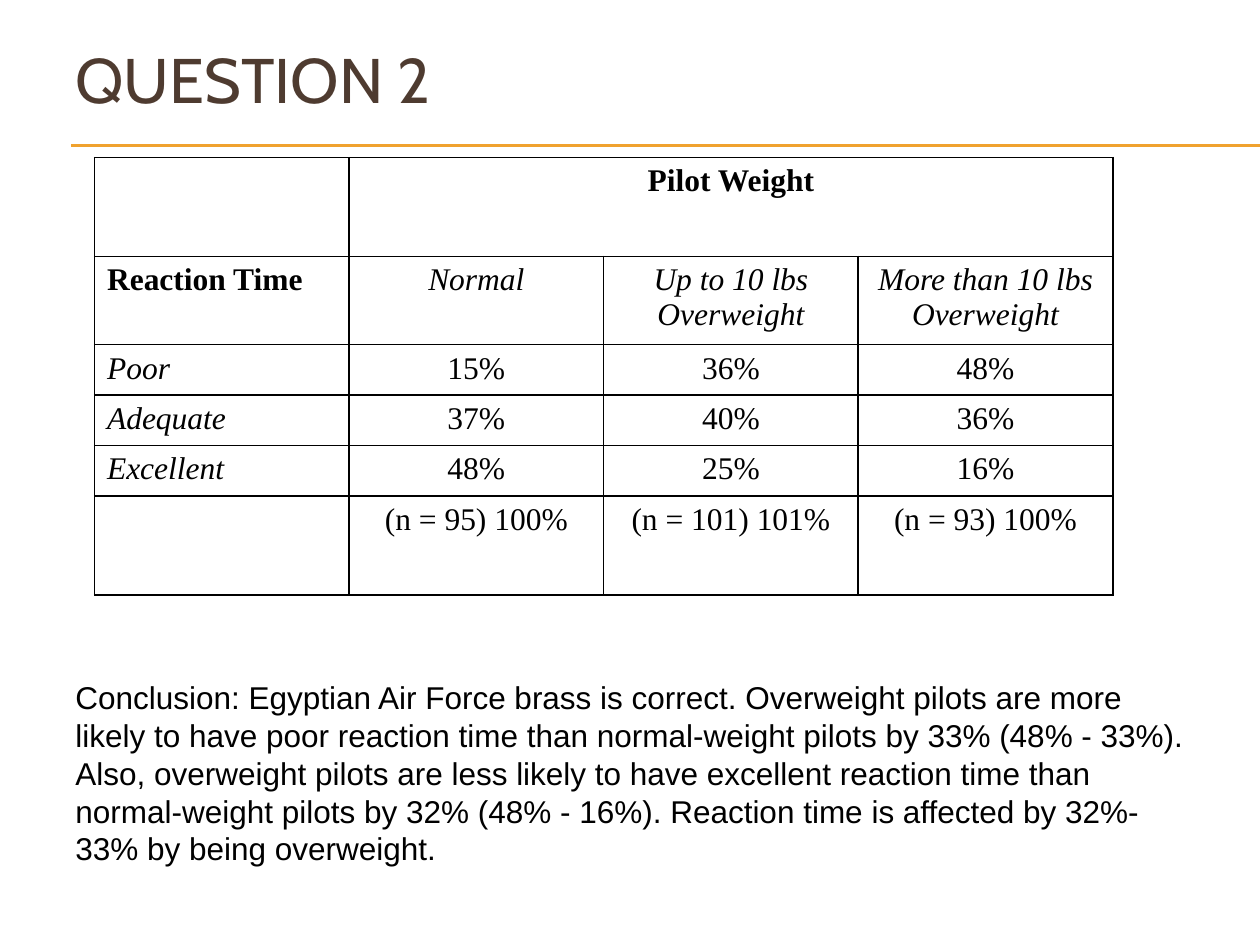
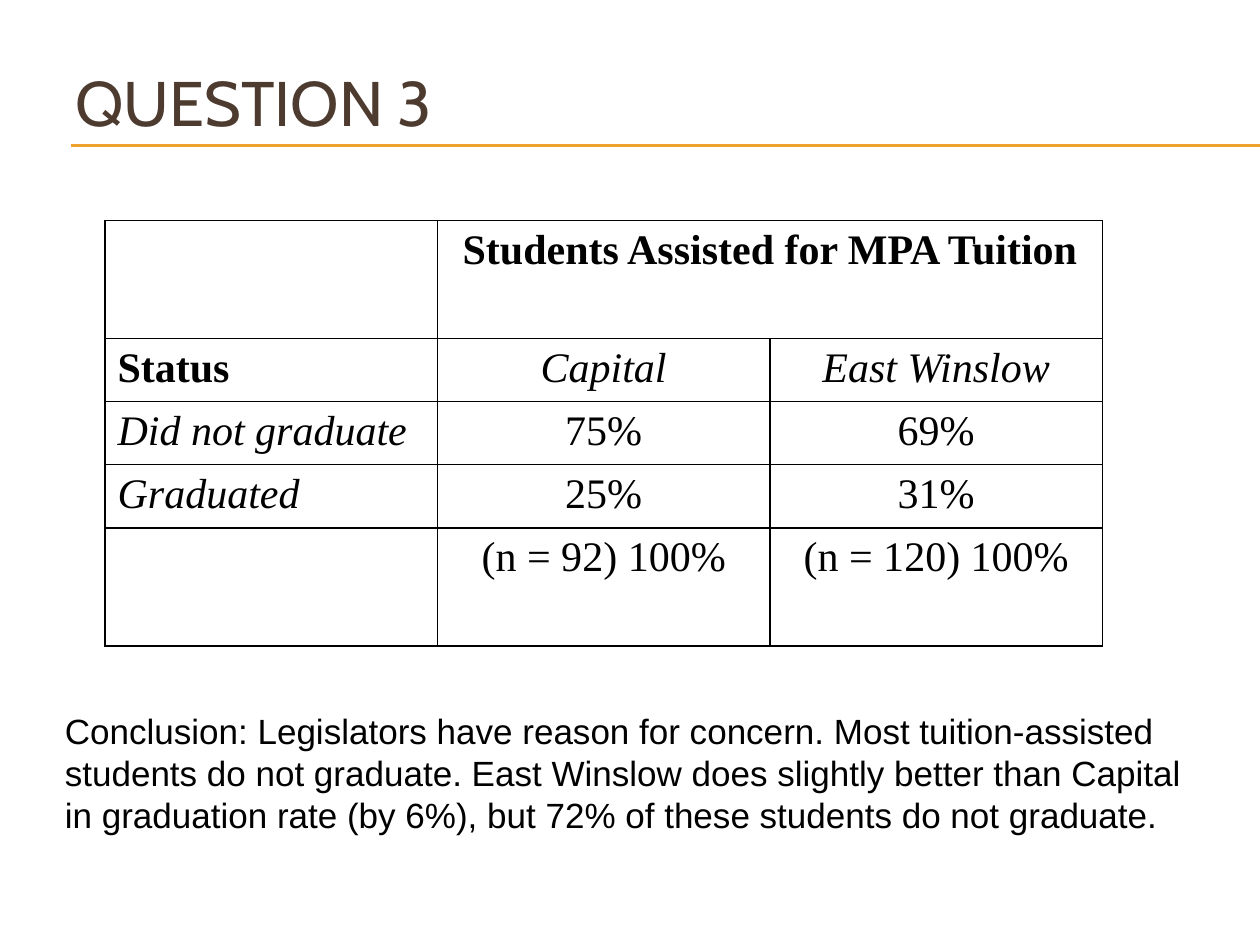
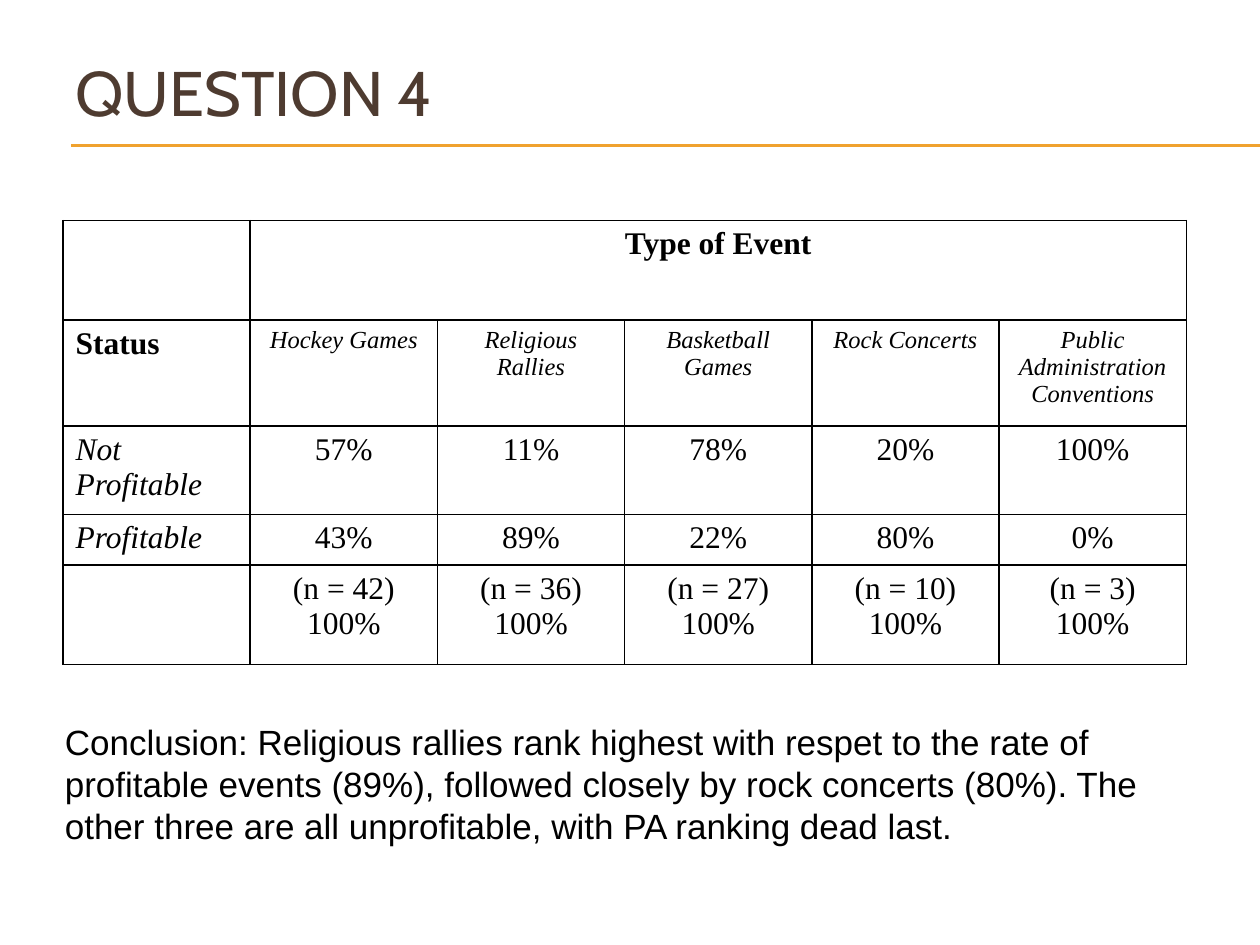
from dataclasses import dataclass

import pptx
import pptx.dml.color
import pptx.enum.shapes
import pptx.enum.text
import pptx.oxml
import pptx.oxml.ns
import pptx.slide
import pptx.table
import pptx.text.text
import pptx.util
from pptx.util import Pt

RGBColor = pptx.dml.color.RGBColor
BROWN = RGBColor(0x4E, 0x3B, 0x30)
GOLD = RGBColor(0xF0, 0xA2, 0x2E)
BLACK = RGBColor(0, 0, 0)

ALIGN = pptx.enum.text.PP_ALIGN
MIDDLE = pptx.enum.text.MSO_ANCHOR.MIDDLE
SLIDE_WIDTH, SLIDE_HEIGHT = 720, 540
RULE_LEFT = 40.5
RULE_TOPS = (82.8, 83.4)
TITLE_FORMAT = {"name": "Cabin", "size": Pt(36), "color": BROWN}
LINE_PITCH = 1.2


@dataclass(frozen=True)
class Box:
    left: float
    top: float
    width: float
    height: float

    def lengths(self) -> list[pptx.util.Length]:
        return [Pt(value) for value in (self.left, self.top, self.width, self.height)]


@dataclass(frozen=True)
class CrossTable:
    """A table with a spanning heading, a column label row, data and a totals row."""
    left: float
    top: float
    column_width: float
    row_heights: list[float]
    heading: str
    rows: list[list[str]]
    size: int
    label_size: int


@dataclass(frozen=True)
class Question:
    title: str
    title_box: Box
    table: CrossTable
    conclusion: str
    conclusion_box: Box
    conclusion_size: int


QUESTIONS = [
    Question(
        "QUESTION 2", Box(36, -12, 660, 113),
        CrossTable(
            54, 90, 145.5, [56.5, 47, 27, 27, 27, 56.5], "Pilot Weight",
            [
                ["Reaction Time", "Normal", "Up to 10 lbs Overweight",
                 "More than 10 lbs Overweight"],
                ["Poor", "15%", "36%", "48%"],
                ["Adequate", "37%", "40%", "36%"],
                ["Excellent", "48%", "25%", "16%"],
                ["", "(n = 95) 100%", "(n = 101) 101%", "(n = 93) 100%"],
            ], 18, 18),
        "Conclusion: Egyptian Air Force brass is correct. Overweight pilots are more "
        "likely to have poor reaction time than normal-weight pilots by 33% (48% - 33%). "
        "Also, overweight pilots are less likely to have excellent reaction time than "
        "normal-weight pilots by 32% (48% - 16%). Reaction time is affected by 32%-33% "
        "by being overweight.",
        Box(36, 384, 648, 115), 18),
    Question(
        "QUESTION 3", Box(36, 19.5, 660, 77),
        CrossTable(
            60, 126, 190, [67.5, 33.7, 33.7, 33.7, 67.5],
            "Students Assisted for MPA Tuition",
            [
                ["Status", "Capital", "East Winslow"],
                ["Did not graduate", "75%", "69%"],
                ["Graduated", "25%", "31%"],
                ["", "(n = 92) 100%", "(n = 120) 100%"],
            ], 24, 24),
        "Conclusion: Legislators have reason for concern. Most tuition-assisted students "
        "do not graduate. East Winslow does slightly better than Capital in graduation "
        "rate (by 6%), but 72% of these students do not graduate.",
        Box(30, 402, 654, 79), 20),
    Question(
        "QUESTION 4", Box(36, 19.5, 660, 65),
        CrossTable(
            36, 126, 107, [57, 60.5, 47, 27, 57], "Type of Event",
            [
                ["Status", "Hockey Games", "Religious Rallies", "Basketball Games",
                 "Rock Concerts", "Public Administration Conventions"],
                ["Not Profitable", "57%", "11%", "78%", "20%", "100%"],
                ["Profitable", "43%", "89%", "22%", "80%", "0%"],
                ["", "(n = 42) 100%", "(n = 36) 100%", "(n = 27) 100%",
                 "(n = 10) 100%", "(n = 3) 100%"],
            ], 18, 14),
        "Conclusion: Religious rallies rank highest with respet to the rate of profitable "
        "events (89%), followed closely by rock concerts (80%). The other three are all "
        "unprofitable, with PA ranking dead last.",
        Box(30, 408, 654, 79), 20),
]


def set_font(font: pptx.text.text.Font, values: dict) -> None:
    for name, value in values.items():
        if name == "color":
            font.color.rgb = value
        else:
            setattr(font, name, value)


def add_rules(page: pptx.slide.Slide) -> None:
    for top in RULE_TOPS:
        rule = page.shapes.add_connector(
            pptx.enum.shapes.MSO_CONNECTOR.STRAIGHT,
            Pt(RULE_LEFT), Pt(top), Pt(SLIDE_WIDTH), Pt(top))
        rule.line.color.rgb = GOLD
        rule.line.width = Pt(0.75)
        properties = rule.element.find(pptx.oxml.ns.qn("p:spPr"))
        properties.append(pptx.oxml.parse_xml(
            f'<a:effectLst {pptx.oxml.ns.nsdecls("a")}/>'))


def add_text(page: pptx.slide.Slide, box: Box, text: str,
             font_format: dict) -> pptx.text.text.TextFrame:
    frame = page.shapes.add_textbox(*box.lengths()).text_frame
    frame.word_wrap = True
    frame.vertical_anchor = MIDDLE
    para = frame.paragraphs[0]
    span = para.add_run()
    span.text = text
    set_font(span.font, font_format)
    return frame


def add_borders(cell: pptx.table._Cell) -> None:
    properties = cell._tc.get_or_add_tcPr()
    for side in "LRTB":
        properties.append(pptx.oxml.parse_xml(
            f'<a:ln{side} {pptx.oxml.ns.nsdecls("a")} w="{Pt(1)}">'
            f'<a:solidFill><a:srgbClr val="{BLACK}"/></a:solidFill></a:ln{side}>'))


def fill_cell(cell: pptx.table._Cell, text: str, align: ALIGN, values: dict) -> None:
    if not text:
        return
    para = cell.text_frame.paragraphs[0]
    para.alignment = align
    span = para.add_run()
    span.text = text
    set_font(span.font, {"name": "Times New Roman", "color": BLACK, **values})


def add_cross_table(page: pptx.slide.Slide, content: CrossTable) -> None:
    column_count = len(content.rows[0])
    box = Box(content.left, content.top, content.column_width * column_count,
              sum(content.row_heights))
    table = page.shapes.add_table(
        len(content.row_heights), column_count, *box.lengths()).table
    table.first_row = table.horz_banding = False
    for column in table.columns:
        column.width = Pt(content.column_width)
    for row, height in zip(table.rows, content.row_heights):
        row.height = Pt(height)
    for cell in table.iter_cells():
        add_borders(cell)
        cell.fill.background()

    table.cell(0, 1).merge(table.cell(0, column_count - 1))
    fill_cell(table.cell(0, 1), content.heading, ALIGN.CENTER,
              {"size": Pt(content.size), "bold": True})
    for row_index, texts in enumerate(content.rows, start=1):
        for column_index, text in enumerate(texts):
            is_label_row, is_stub = row_index == 1, column_index == 0
            size = content.label_size if is_label_row and not is_stub else content.size
            fill_cell(
                table.cell(row_index, column_index), text,
                ALIGN.LEFT if is_stub else ALIGN.CENTER,
                {"size": Pt(size), "bold": is_label_row and is_stub,
                 "italic": is_label_row != is_stub})


def add_question(deck, question: Question) -> None:
    page = deck.slides.add_slide(deck.slide_layouts[6])
    add_rules(page)
    add_text(page, question.title_box, question.title, TITLE_FORMAT)
    add_cross_table(page, question.table)
    size = question.conclusion_size
    frame = add_text(page, question.conclusion_box, question.conclusion,
                     {"name": "Arial", "size": Pt(size), "color": BLACK})
    frame.auto_size = pptx.enum.text.MSO_AUTO_SIZE.SHAPE_TO_FIT_TEXT
    frame.paragraphs[0].line_spacing = Pt(size * LINE_PITCH)


def main() -> None:
    deck = pptx.Presentation()
    deck.slide_width, deck.slide_height = Pt(SLIDE_WIDTH), Pt(SLIDE_HEIGHT)
    for question in QUESTIONS:
        add_question(deck, question)
    deck.save("out.pptx")


if __name__ == "__main__":
    main()
